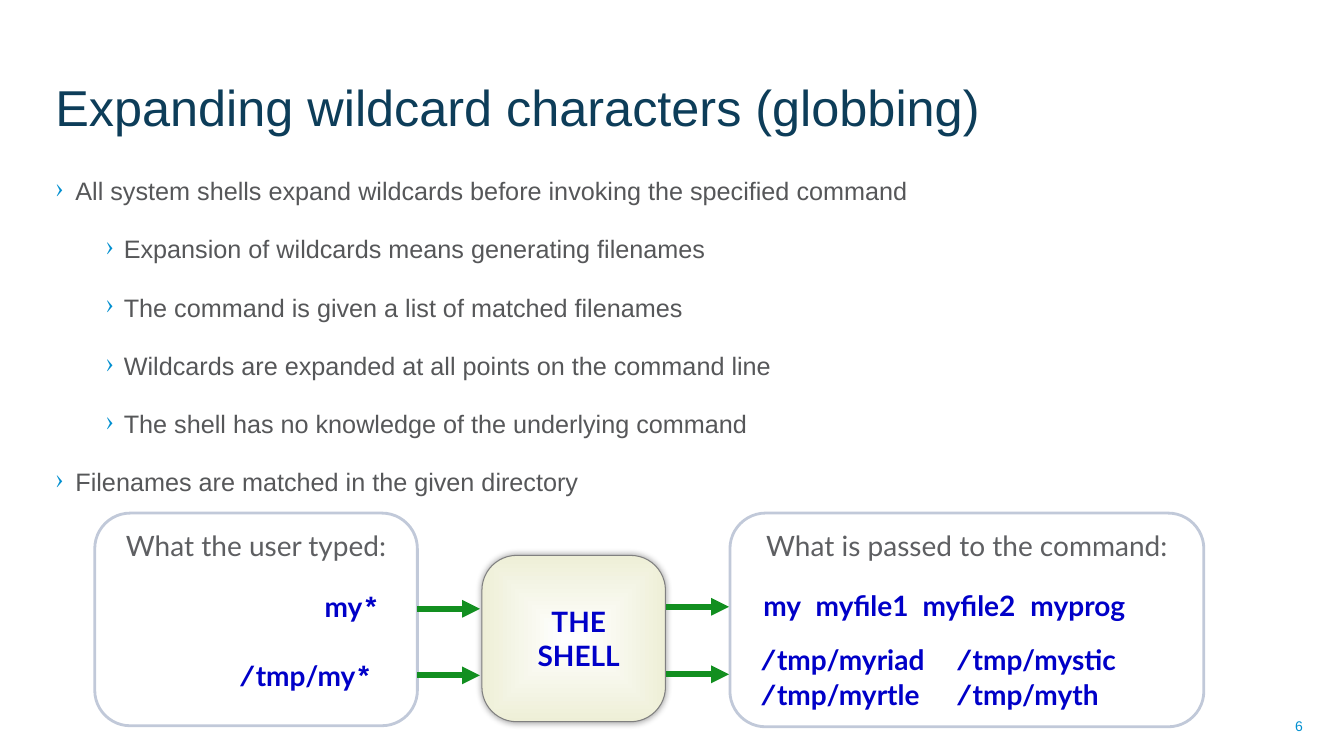
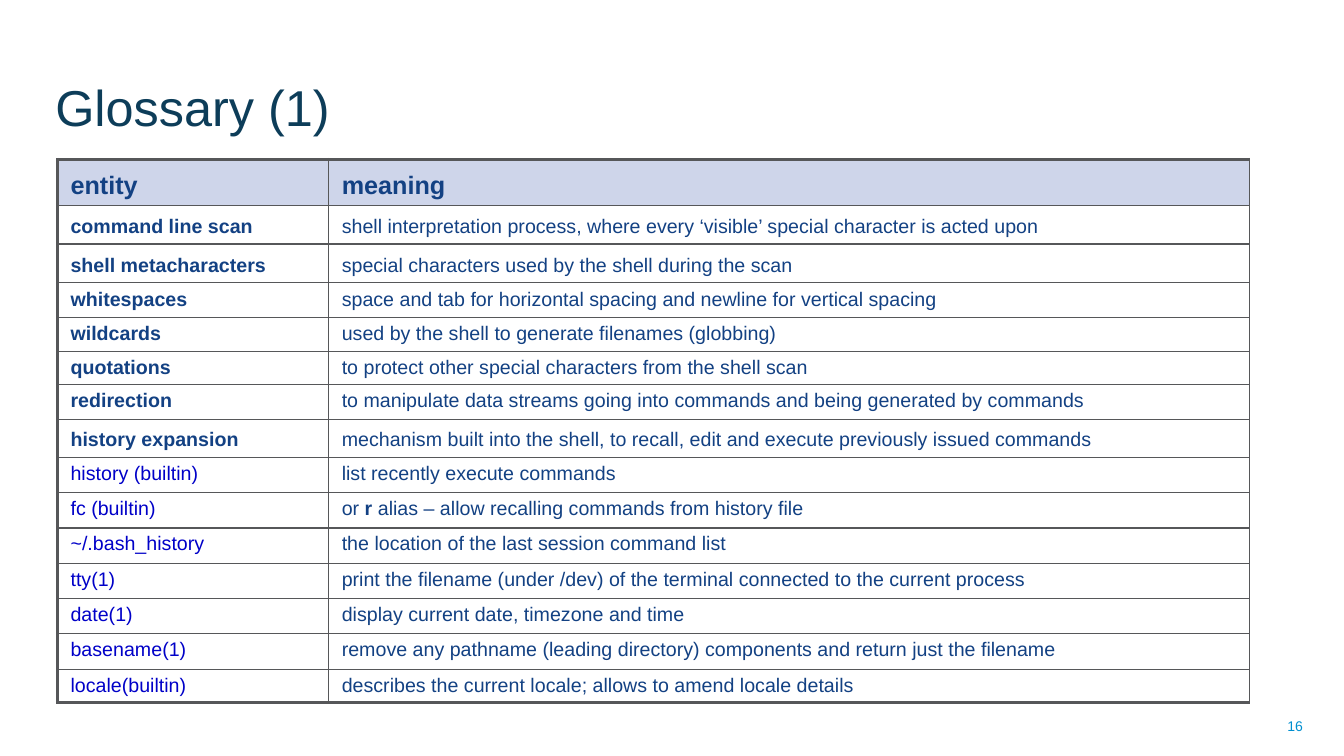
from lxml import etree
from pptx import Presentation
from pptx.dml.color import RGBColor
from pptx.enum.shapes import MSO_CONNECTOR, MSO_SHAPE
from pptx.enum.text import MSO_ANCHOR, PP_ALIGN
from pptx.oxml import parse_xml
from pptx.oxml.ns import nsdecls, qn
from pptx.util import Inches, Pt

TOP, MIDDLE, BOTTOM = MSO_ANCHOR.TOP, MSO_ANCHOR.MIDDLE, MSO_ANCHOR.BOTTOM
CENTER, RIGHT = PP_ALIGN.CENTER, PP_ALIGN.RIGHT
ROUNDED = MSO_SHAPE.ROUNDED_RECTANGLE
STRAIGHT = MSO_CONNECTOR.STRAIGHT

GREY, NAVY, CODE_BLUE, ACCENT = "565759", "134183", "0000C8", "008FD0"
TITLE_STYLE = {"name": "Arial", "size": Pt(36), "color": "0D3D59"}
NUMBER_STYLE = {"name": "Arial", "size": Pt(10), "color": ACCENT}
BODY_STYLE = {"name": "Arial", "size": Pt(18), "color": GREY}
CAPTION_STYLE = {"name": "Lato", "size": Pt(20), "color": "5E5F62"}
CODE_STYLE = {"name": "Lato", "size": Pt(20), "color": CODE_BLUE, "bold": True}
HEADER_STYLE = {"name": "Arial", "size": Pt(18), "color": NAVY, "bold": True}
CELL_STYLE = {"name": "Arial", "size": Pt(14), "color": NAVY}

BULLETS = [
    (0, "All system shells expand wildcards before invoking the specified command"),
    (1, "Expansion of wildcards means generating filenames"),
    (1, "The command is given a list of matched filenames"),
    (1, "Wildcards are expanded at all points on the command line"),
    (1, "The shell has no knowledge of the underlying command"),
    (0, "Filenames are matched in the given directory"),
]
LEVEL_INDENTS = [(0.2, -0.2), (0.68, -0.18)]

# Entity, meaning, row height in inches
TERMS = [
    ("command line scan", "shell interpretation process, where every ‘visible’ special character is acted upon", 0.35),
    ("shell metacharacters", "special characters used by the shell during the scan", 0.35),
    ("whitespaces", "space and tab for horizontal spacing and newline for vertical spacing", 0.35),
    ("wildcards", "used by the shell to generate filenames (globbing)", 0.31),
    ("quotations", "to protect other special characters from the shell scan", 0.31),
    ("redirection", "to manipulate data streams going into commands and being generated by commands", 0.34),
    ("history expansion", "mechanism built into the shell, to recall, edit and execute previously issued commands", 0.35),
]
COMMANDS = [
    ("history (builtin)", "list recently execute commands", 0.35),
    ("fc (builtin)", ("or ", "r", " alias – allow recalling commands from history file"), 0.35),
    ("~/.bash_history", "the location of the last session command list", 0.35),
    ("tty(1)", "print the filename (under /dev) of the terminal connected to the current process", 0.35),
    ("date(1)", "display current date, timezone and time", 0.35),
    ("basename(1)", "remove any pathname (leading directory) components and return just the filename", 0.35),
    ("locale(builtin)", "describes the current locale; allows to amend locale details", 0.31),
]
SPACED_ROWS = ("command line scan", "shell metacharacters", "history expansion")
MIDDLE_ROWS = ("command line scan", "shell metacharacters", "whitespaces")


def rgb(value):
    """Turn a hex string into a colour."""
    return RGBColor.from_string(value)


def set_values(target, values):
    """Set each named attribute of the target."""
    for name, value in values.items():
        setattr(target, name, value)


def add_run(paragraph, text, style, **changes):
    """Append a run in the style, with any changes to it."""
    values = {**style, **changes}
    run = paragraph.add_run()
    run.text = text
    run.font.color.rgb = rgb(values.pop("color"))
    set_values(run.font, values)


def add_paragraph(frame, **values):
    """Return the empty first paragraph, or a new one, formatted."""
    paragraph = frame.paragraphs[0]
    if paragraph.runs:
        paragraph = frame.add_paragraph()
    set_values(paragraph, values)
    return paragraph


def add_frame(slide, box, **values):
    """Add a wrapping text box and return its text frame."""
    frame = slide.shapes.add_textbox(*map(Inches, box)).text_frame
    set_values(frame, {"word_wrap": True, **values})
    return frame


def add_slide(presentation, title, number):
    """Add a slide with the shared title and slide number."""
    slide = presentation.slides.add_slide(presentation.slide_layouts[6])
    frame = add_frame(slide, (0.45, 0.14, 9.98, 1.26), vertical_anchor=BOTTOM)
    add_run(add_paragraph(frame), title, TITLE_STYLE)
    frame = add_frame(slide, (9.91, 7, 3.11, 0.4), vertical_anchor=MIDDLE)
    add_run(add_paragraph(frame, alignment=RIGHT), number, NUMBER_STYLE)
    return slide


def set_indent(paragraph, left, first=0):
    """Set the left margin and first-line indent in inches."""
    properties = paragraph._p.get_or_add_pPr()
    properties.set("marL", str(Inches(left)))
    properties.set("indent", str(Inches(first)))
    return properties


def add_bullets(slide, box):
    """Place the two-level bullet list."""
    frame = add_frame(slide, box)
    for level, text in BULLETS:
        paragraph = add_paragraph(frame, level=level, space_before=Pt(10), space_after=Pt(10))
        properties = set_indent(paragraph, *LEVEL_INDENTS[level])
        bullet_color = etree.SubElement(properties, qn("a:buClr"))
        etree.SubElement(bullet_color, qn("a:srgbClr"), val=ACCENT)
        etree.SubElement(properties, qn("a:buChar"), char="›")
        add_run(paragraph, text, BODY_STYLE)


def add_code(slide, box, lines, spacing, tabs=()):
    """Place command text; lone slashes and stars are monospaced."""
    margins = {"margin_left": Inches(0.05), "margin_right": Inches(0.05),
               "margin_top": Inches(0.02), "margin_bottom": Inches(0.02)}
    frame = add_frame(slide, box, **margins)
    for parts in lines:
        paragraph = add_paragraph(frame, line_spacing=spacing)
        if tabs:
            stops = etree.SubElement(paragraph._p.get_or_add_pPr(), qn("a:tabLst"))
            for tab in tabs:
                etree.SubElement(stops, qn("a:tab"), pos=str(Inches(tab)), algn="l")
        for part in parts:
            name = "Courier New" if part.strip() in ("/", "*") else "Lato"
            add_run(paragraph, part, CODE_STYLE, name=name)


def add_rounded(slide, box, line_color, line_width):
    """Add an unfilled rounded box without shadow."""
    shape = slide.shapes.add_shape(ROUNDED, *map(Inches, box))
    shape.shadow.inherit = False
    shape.fill.background()
    shape.line.color.rgb = rgb(line_color)
    shape.line.width = Pt(line_width)
    shape.text_frame.word_wrap = False
    return shape


def add_panel(slide, box, caption):
    """Place an outlined panel with its caption at the top."""
    frame = add_rounded(slide, box, "C1C9D9", 2).text_frame
    frame.vertical_anchor = TOP
    add_run(add_paragraph(frame, alignment=CENTER), caption, CAPTION_STYLE)


def add_shell(slide, box):
    """Place the glowing shell box with its radial gradient."""
    shape = add_rounded(slide, box, "808080", 0.75)
    shape.adjustments[0] = 0.209
    shape.fill.gradient()
    for stop, color, position in zip(shape.fill.gradient_stops, ("FFFFFF", "EEEFD7"), (0, 1)):
        stop.color.rgb = rgb(color)
        stop.position = position
    properties = shape._element.spPr
    linear = properties.find(".//" + qn("a:lin"))
    linear.getparent().replace(linear, parse_xml(
        f'<a:path {nsdecls("a")} path="shape">'
        '<a:fillToRect l="50000" t="50000" r="50000" b="50000"/></a:path>'))
    properties.find(qn("a:effectLst")).append(parse_xml(
        f'<a:outerShdw {nsdecls("a")} blurRad="{Pt(5)}" dist="0" dir="0">'
        '<a:srgbClr val="000000"><a:alpha val="40000"/></a:srgbClr></a:outerShdw>'))
    shape.text_frame.vertical_anchor = MIDDLE
    for word in ("THE", "SHELL"):
        paragraph = add_paragraph(shape.text_frame, alignment=CENTER)
        set_indent(paragraph, 0.1)
        add_run(paragraph, word, CODE_STYLE)


def add_arrow(slide, left, top, length=0.62):
    """Draw a green arrow to the right."""
    arrow = slide.shapes.add_connector(
        STRAIGHT, *map(Inches, (left, top, left + length, top)))
    arrow.line.color.rgb = rgb("128F20")
    arrow.line.width = Pt(4.25)
    etree.SubElement(arrow.line._get_or_add_ln(), qn("a:tailEnd"), type="triangle")
    etree.SubElement(arrow._element.spPr, qn("a:effectLst"))


def add_expansion_diagram(slide, left, top):
    """Show typed patterns passing through the shell to a command."""
    add_panel(slide, (left, top, 3.2, 2.11), "What the user typed:")
    add_panel(slide, (left + 6.3, top, 4.7, 2.12), "What is passed to the command:")
    add_shell(slide, (left + 3.84, top + 0.42, 1.82, 1.65))
    add_code(slide, (left + 2.23, top + 0.72, 0.7, 0.4), [("my", "*")], 1.07)
    add_code(slide, (left + 1.38, top + 1.4, 1.62, 0.4), [("/", "tmp/my", "*")], 1.07)
    add_code(slide, (left + 6.58, top + 0.7, 4.18, 0.4),
             [("my\tmyfile1\tmyfile2\tmyprog",)], 1.09, (0.52, 1.58, 2.65))
    add_code(slide, (left + 6.55, top + 1.25, 4.19, 0.73),
             [("/", "tmp/myriad", "\t/", "tmp/mystic"),
              ("/", "tmp/myrtle", "\t/", "tmp/myth")], 1.04, (1.94,))
    for x, y in ((3.2, 0.95), (3.2, 1.61), (5.67, 0.93), (5.67, 1.6)):
        add_arrow(slide, left + x, top + y)


def set_borders(cell, **widths):
    """Draw the cell's four sides, 1 point unless a width is given."""
    properties = cell._tc.get_or_add_tcPr()
    for side in "LRTB":
        properties.append(parse_xml(
            f'<a:ln{side} {nsdecls("a")} w="{Pt(widths.get(side, 1))}"><a:solidFill>'
            f'<a:srgbClr val="{GREY}"/></a:solidFill></a:ln{side}>'))


def add_glossary(slide, left, top):
    """Place the glossary table, with terms above commands."""
    rows = [("entity", "meaning", 0.43), *TERMS, *COMMANDS]
    widths = (2.69, 9.13)
    height = sum(row[2] for row in rows)
    table = slide.shapes.add_table(
        len(rows), 2, *map(Inches, (left, top, sum(widths), height))).table
    set_values(table, {"first_row": False, "horz_banding": False})
    for column, width in zip(table.columns, widths):
        column.width = Inches(width)
    for index, (entity, meaning, row_height) in enumerate(rows):
        table.rows[index].height = Inches(row_height)
        header = index == 0
        entity_style = {**CELL_STYLE, "bold": True}
        if index > len(TERMS):
            entity_style = {**CELL_STYLE, "color": CODE_BLUE}
        styles = (HEADER_STYLE, HEADER_STYLE) if header else (entity_style, CELL_STYLE)
        edges = {"T": 2.25} if header else {"B": 2.25} if index == len(rows) - 1 else {}
        for column, (text, style) in enumerate(zip((entity, meaning), styles)):
            cell = table.cell(index, column)
            set_borders(cell, **edges, **({"L": 2.25} if column == 0 else {}))
            set_values(cell, {
                "margin_left": Inches(0.13), "margin_right": Inches(0.13),
                "margin_top": Inches(0.05), "margin_bottom": Inches(0.05),
                "vertical_anchor": MIDDLE if header or entity in MIDDLE_ROWS else TOP})
            if header:
                cell.fill.solid()
                cell.fill.fore_color.rgb = rgb("CED5EA")
            else:
                cell.fill.background()
            spacing = 1.2 if header or entity in SPACED_ROWS else 1.0
            paragraph = add_paragraph(cell.text_frame, line_spacing=spacing)
            if isinstance(text, str):
                add_run(paragraph, text, style)
            else:
                before, strong, after = text
                add_run(paragraph, before, style)
                add_run(paragraph, strong, style, bold=True)
                add_run(paragraph, after, style)


def main():
    """Build both slides and save them."""
    presentation = Presentation()
    set_values(presentation, {"slide_width": Inches(13.33), "slide_height": Inches(7.5)})
    slide = add_slide(presentation, "Expanding wildcard characters (globbing)", "6")
    add_bullets(slide, (0.45, 1.69, 12.47, 4.97))
    add_expansion_diagram(slide, 0.94, 5.09)
    slide = add_slide(presentation, "Glossary (1)", "16")
    add_glossary(slide, 0.57, 1.58)
    presentation.save("out.pptx")


main()
